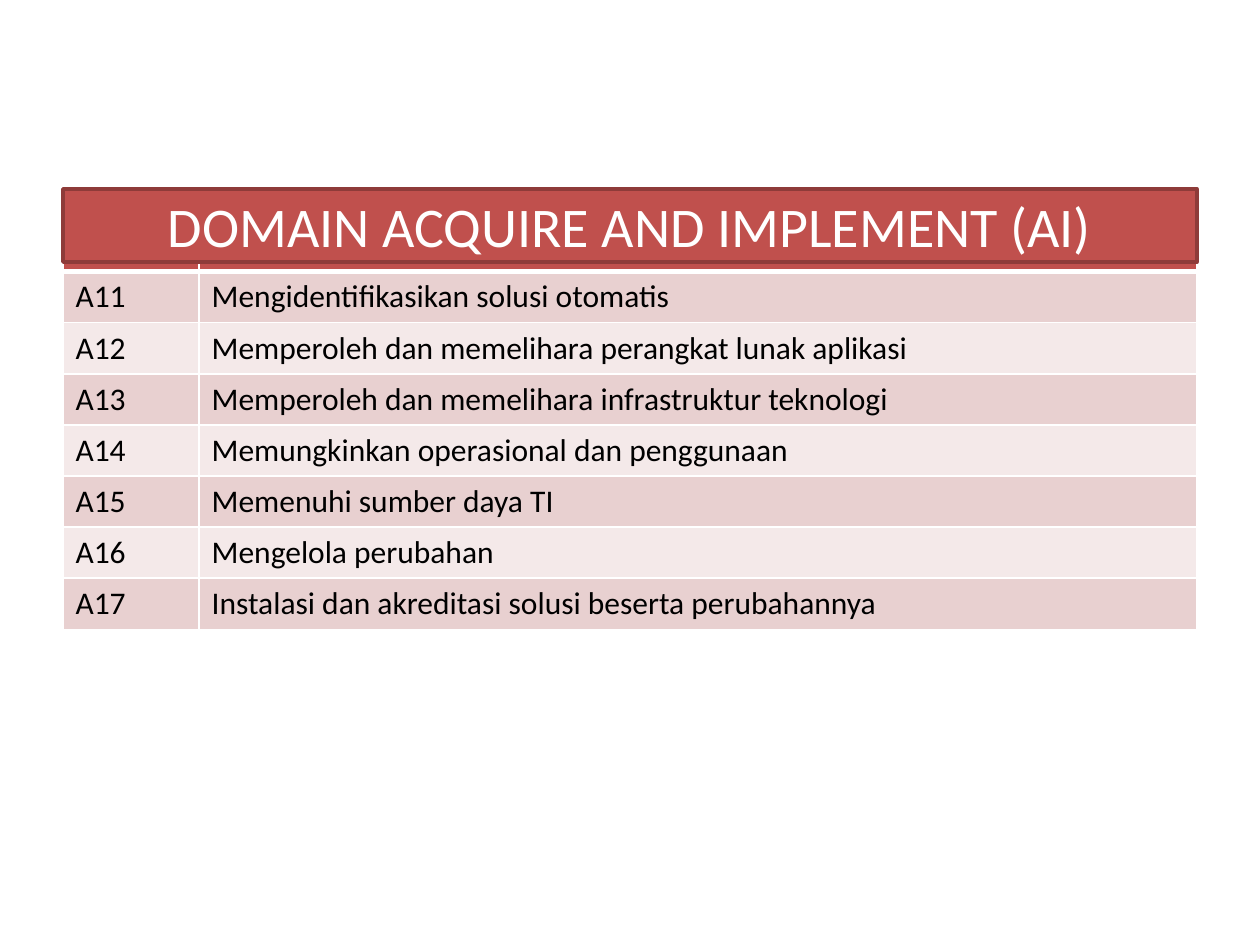
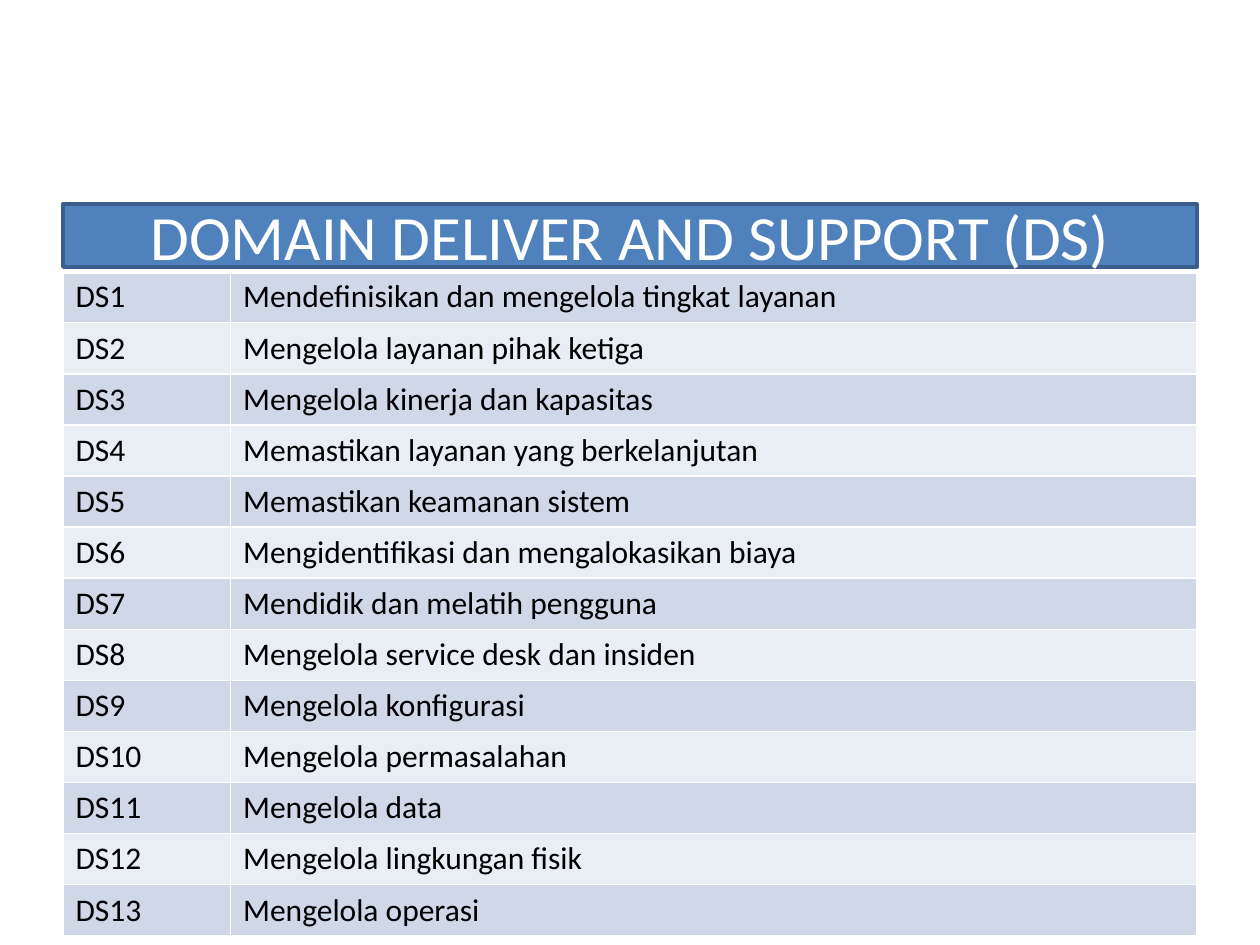
from dataclasses import dataclass

from lxml import etree
from pptx import Presentation
from pptx import util as u
from pptx.dml.color import RGBColor
from pptx.enum import shapes, text
from pptx.oxml.ns import qn


@dataclass(frozen=True)
class Palette:
    """Colours of one domain: banner, banner outline, odd and even rows."""
    main: str
    outline: str
    odd: str
    even: str


class Theme:
    """Colours and type sizes of the deck."""
    font = "Calibri"
    body_size = 18
    ink = "000000"
    paper = "FFFFFF"
    grid_line = 1
    header_line = 3
    outline = 2
    red = Palette("C0504D", "8E3B39", "E8D0D0", "F4E9E9")
    blue = Palette("4F81BD", "3A5F8C", "D0D8E8", "E9EDF4")


class Deck:
    """Holds the style, the grid and the current slide."""
    columns, rows = 20, 30
    left, width = 1, 18
    table_top, table_row = 7, 1.62

    def __init__(self, theme):
        """Start a 10 by 7.5 inch presentation."""
        self.theme = theme
        self.slide = None
        self.presentation = Presentation()
        self.presentation.slide_width = u.Inches(10)
        self.presentation.slide_height = u.Inches(7.5)

    def x(self, columns):
        """Turn grid columns into a length."""
        return u.Emu(round(self.presentation.slide_width * columns / self.columns))

    def y(self, rows):
        """Turn grid rows into a length."""
        return u.Emu(round(self.presentation.slide_height * rows / self.rows))

    def add_slide(self):
        """Add a blank slide and make it current."""
        self.slide = self.presentation.slides.add_slide(self.presentation.slide_layouts[6])

    def fill(self, target, colour):
        """Give a shape or a cell a solid fill."""
        target.fill.solid()
        target.fill.fore_color.rgb = RGBColor.from_string(colour)

    def format_runs(self, paragraph, size, colour):
        """Set the font of every run."""
        for run in paragraph.runs:
            run.font.name = self.theme.font
            run.font.size = u.Pt(size)
            run.font.color.rgb = RGBColor.from_string(colour)

    def banner(self, title, palette, top, height, size):
        """Draw the title band over the table header."""
        shape = self.slide.shapes.add_shape(
            shapes.MSO_SHAPE.RECTANGLE, self.x(self.left), self.y(top),
            self.x(self.width), self.y(height))
        shape.shadow.inherit = False
        self.fill(shape, palette.main)
        shape.line.color.rgb = RGBColor.from_string(palette.outline)
        shape.line.width = u.Pt(self.theme.outline)
        shape.text_frame.text = title
        shape.text_frame.word_wrap = True
        shape.text_frame.vertical_anchor = text.MSO_ANCHOR.MIDDLE
        paragraph = shape.text_frame.paragraphs[0]
        paragraph.alignment = text.PP_ALIGN.CENTER
        self.format_runs(paragraph, size, self.theme.paper)

    def borders(self, cell, top, bottom):
        """Draw the four borders of a cell."""
        side = self.theme.grid_line
        properties = cell._tc.get_or_add_tcPr()
        widths = (("a:lnL", side), ("a:lnR", side), ("a:lnT", top), ("a:lnB", bottom))
        for index, (tag, width) in enumerate(widths):
            line = etree.Element(qn(tag), w=str(u.Pt(width)))
            solid = etree.SubElement(line, qn("a:solidFill"))
            etree.SubElement(solid, qn("a:srgbClr"), val=self.theme.paper)
            properties.insert(index, line)

    def table(self, entries, palette, code_width):
        """Draw coded entries in banded rows below an empty header row."""
        records = [("", ""), *entries]
        table = self.slide.shapes.add_table(
            len(records), 2, self.x(self.left), self.y(self.table_top),
            self.x(self.width), self.y(self.table_row * len(records))).table
        table.first_row = table.horz_banding = False
        table.columns[0].width = self.x(code_width)
        table.columns[1].width = self.x(self.width - code_width)
        thin, thick = self.theme.grid_line, self.theme.header_line
        for index, record in enumerate(records):
            table.rows[index].height = self.y(self.table_row)
            band = palette.odd if index % 2 else palette.even
            for column, words in enumerate(record):
                cell = table.cell(index, column)
                cell.text_frame.text = words
                self.format_runs(cell.text_frame.paragraphs[0],
                                 self.theme.body_size, self.theme.ink)
                self.fill(cell, band if index else palette.main)
                self.borders(cell, thick if index == 1 else thin,
                             thin if index else thick)


def numbered(prefix, start, names):
    """Pair each name with its running code."""
    return [(f"{prefix}{number}", name) for number, name in enumerate(names, start)]


ACQUIRE = numbered("A", 11, [
    "Mengidentifikasikan solusi otomatis",
    "Memperoleh dan memelihara perangkat lunak aplikasi",
    "Memperoleh dan memelihara infrastruktur teknologi",
    "Memungkinkan operasional dan penggunaan",
    "Memenuhi sumber daya TI",
    "Mengelola perubahan",
    "Instalasi dan akreditasi solusi beserta perubahannya",
])

DELIVER = numbered("DS", 1, [
    "Mendefinisikan dan mengelola tingkat layanan",
    "Mengelola layanan pihak ketiga",
    "Mengelola kinerja dan kapasitas",
    "Memastikan layanan yang berkelanjutan",
    "Memastikan keamanan sistem",
    "Mengidentifikasi dan mengalokasikan biaya",
    "Mendidik dan melatih pengguna",
    "Mengelola service desk dan insiden",
    "Mengelola konfigurasi",
    "Mengelola permasalahan",
    "Mengelola data",
    "Mengelola lingkungan fisik",
    "Mengelola operasi",
])


def main():
    """Build both domain slides."""
    deck = Deck(Theme())

    deck.add_slide()
    deck.table(ACQUIRE, Theme.red, code_width=2.16)
    deck.banner("DOMAIN ACQUIRE AND IMPLEMENT (AI)", Theme.red, top=6, height=2.32, size=32)

    deck.add_slide()
    deck.table(DELIVER, Theme.blue, code_width=2.66)
    deck.banner("DOMAIN DELIVER AND SUPPORT (DS)", Theme.blue, top=6.48, height=2, size=36)

    deck.presentation.save("out.pptx")


if __name__ == "__main__":
    main()
